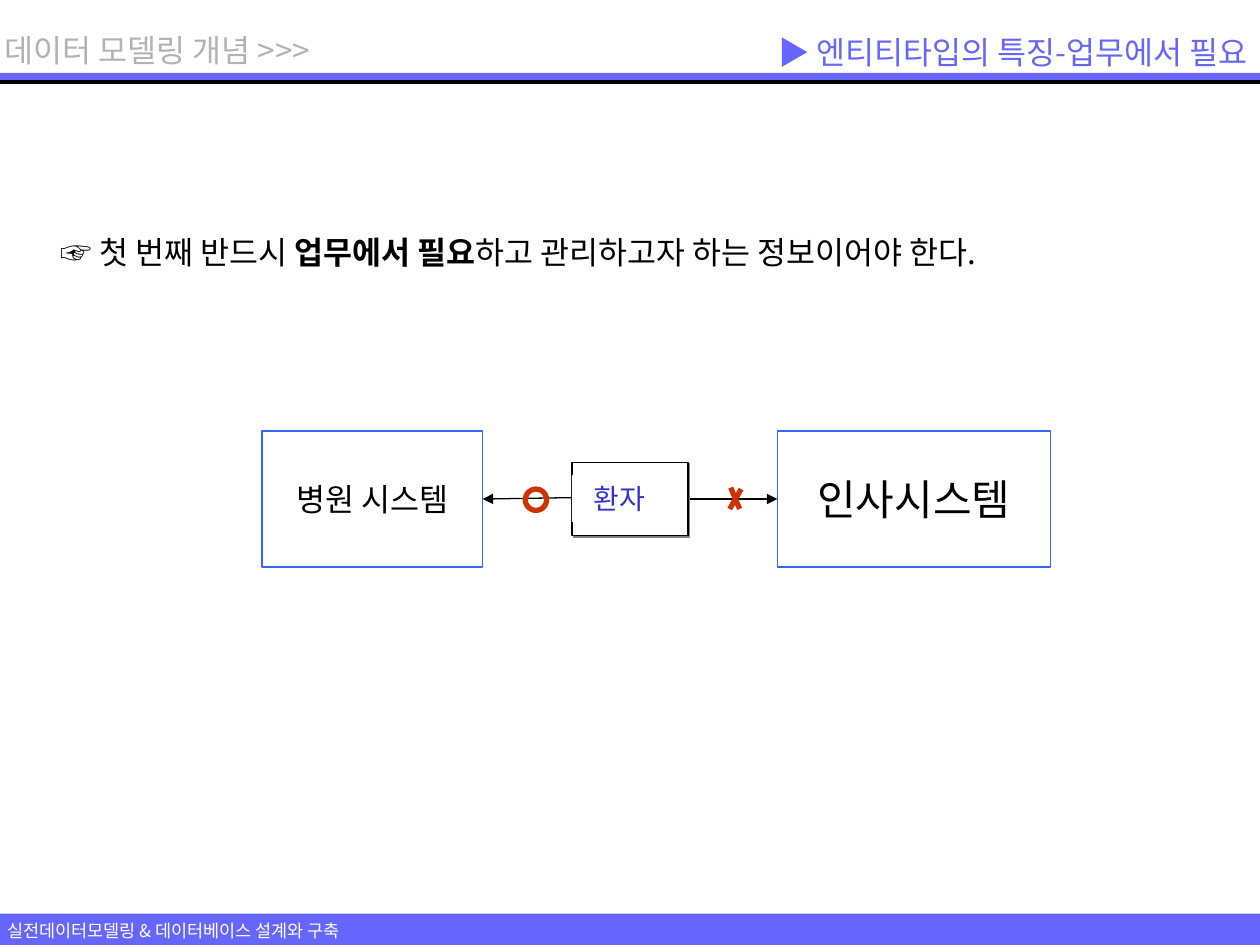
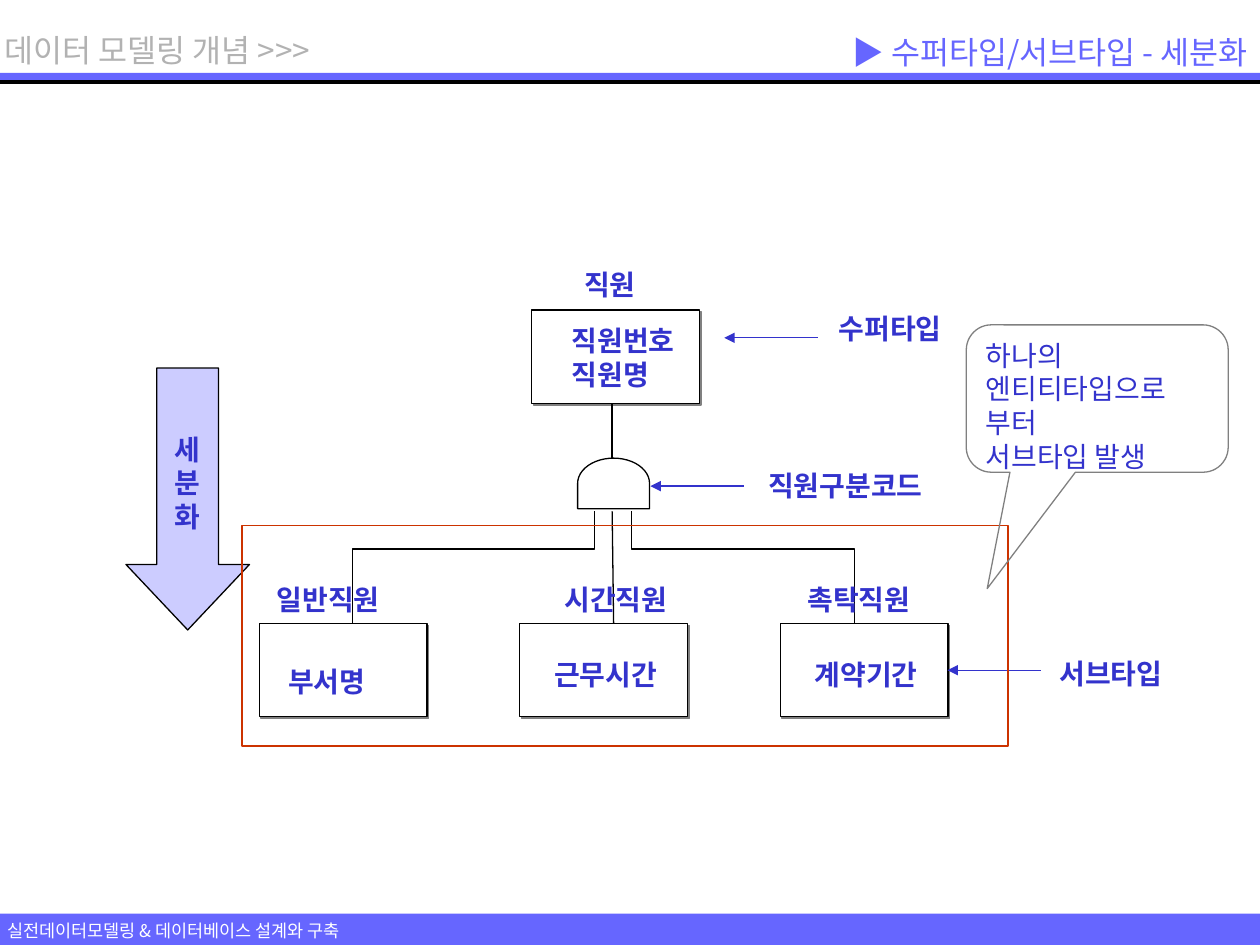
from typing import NamedTuple

from lxml import etree
from pptx import Presentation
from pptx.dml.color import RGBColor
from pptx.enum.shapes import MSO_CONNECTOR, MSO_SHAPE
from pptx.enum.text import MSO_ANCHOR, MSO_AUTO_SIZE, PP_ALIGN
from pptx.oxml.ns import qn
from pptx.util import Cm, Pt

RECT = MSO_SHAPE.RECTANGLE
RING = MSO_SHAPE.OVAL
DOWN = MSO_SHAPE.DOWN_ARROW
DELAY = MSO_SHAPE.FLOWCHART_DELAY
BUBBLE = MSO_SHAPE.ROUNDED_RECTANGULAR_CALLOUT
STRAIGHT = MSO_CONNECTOR.STRAIGHT
LEFT, CENTER, RIGHT = PP_ALIGN.LEFT, PP_ALIGN.CENTER, PP_ALIGN.RIGHT
TOP, MIDDLE = MSO_ANCHOR.TOP, MSO_ANCHOR.MIDDLE
GROW, FIXED = MSO_AUTO_SIZE.SHAPE_TO_FIT_TEXT, MSO_AUTO_SIZE.NONE

BLACK = RGBColor(0x00, 0x00, 0x00)
WHITE = RGBColor(0xFF, 0xFF, 0xFF)
GRAY = RGBColor(0x80, 0x80, 0x80)
SILVER = RGBColor(0xB2, 0xB2, 0xB2)
VIOLET = RGBColor(0x66, 0x66, 0xFF)
LILAC = RGBColor(0xCC, 0xCC, 0xFF)
INDIGO = RGBColor(0x33, 0x33, 0xCC)
BLUE = RGBColor(0x33, 0x66, 0xFF)
RED = RGBColor(0xCC, 0x33, 0x00)

FONT = "Noto Sans CJK KR"
WIDTH, HEIGHT = 25.4, 19.05
THIN, THICK = 0.75, 3
BOX_W, BOX_H = 3.38, 1.88
SUB_X, SUB_Y, SUB_STEP = 5.23, 12.57, 5.25
FORK_Y, BEND_Y = 10.31, 11.07
POINTER = 1.88


class Area(NamedTuple):
    x: float
    y: float
    w: float
    h: float


class System(NamedTuple):
    name: str
    area: Area
    size: int


class Label(NamedTuple):
    text: str
    x: float
    y: float
    w: float = 2.9
    h: float = 0.94


class Line(NamedTuple):
    x1: float
    y1: float
    x2: float
    y2: float


SYSTEMS = [
    System("인사시스템", Area(15.67, 8.69, 5.51, 2.74), 24),
    System("병원 시스템", Area(5.28, 8.69, 4.45, 2.74), 18),
]
FLOWS = [Line(11.61, 10.03, 9.73, 10.06), Line(13.87, 10.06, 15.67, 10.06)]
CROSS = [Line(14.94, 9.86, 14.71, 10.26), Line(14.91, 10.26, 14.73, 9.83)]
STEMS = [Line(12.34, 9.25, 12.34, 8.13), Line(12.34, FORK_Y, 12.37, SUB_Y)]
FORKS = [(11.99, 7.11), (12.73, 17.22)]
POINTS = [(14.99, 9.8), (16.48, 6.81), (20.98, 13.51)]
LABELS = [
    Label("일반직원", 5.33, 11.61),
    Label("시간직원", 11.13, 11.61),
    Label("촉탁직원", 16.03, 11.61),
    Label("직원", 11.53, 5.26, 1.8),
    Label("부서명", 5.56, 13.28, 2.4),
    Label("근무시간", 10.92, 13.13),
    Label("계약기간", 16.18, 13.13),
    Label("직원번호\n직원명", 11.28, 6.4, 2.9, 1.63),
    Label("직원구분코드", 15.24, 9.32, 4),
    Label("수퍼타입", 16.66, 6.15),
    Label("서브타입", 21.11, 13.11),
]


def write(shape, text: str, *, size=16, color=INDIGO, bold=False, strong="",
          align=LEFT, anchor=TOP, wrap=False, fit=FIXED, inset=0.25) -> None:
    frame = shape.text_frame
    frame.word_wrap = wrap
    frame.auto_size = fit
    frame.vertical_anchor = anchor
    frame.margin_left = Cm(inset)
    for i, row in enumerate(text.split("\n")):
        para = frame.add_paragraph() if i else frame.paragraphs[0]
        para.alignment = align
        parts = row.partition(strong) if strong else (row,)
        for part in parts:
            run = para.add_run()
            run.text = part
            font = run.font
            font.size = Pt(size)
            font.bold = bold or part == strong
            font.color.rgb = color
            font.name = FONT
            east = etree.SubElement(font._element, qn("a:ea"))
            east.set("typeface", FONT)


def draw(slide, kind, area: Area, *, fill=None, line=None, width=THIN):
    shape = slide.shapes.add_shape(kind, *map(Cm, area))
    shape.shadow.inherit = False
    paint(shape, fill, line, width)
    return shape


def paint(shape, fill, line, width=THIN) -> None:
    if fill is None:
        shape.fill.background()
    else:
        shape.fill.solid()
        shape.fill.fore_color.rgb = fill
    if line is None:
        shape.line.fill.background()
    else:
        shape.line.color.rgb = line
        shape.line.width = Pt(width)


def link(slide, line: Line, *, color=BLACK, width=THIN, arrow=False) -> None:
    shape = slide.shapes.add_connector(STRAIGHT, *map(Cm, line))
    shape.line.color.rgb = color
    shape.line.width = Pt(width)
    props = shape._element.spPr
    if arrow:
        tail = etree.SubElement(props.find(qn("a:ln")), qn("a:tailEnd"))
        tail.set("type", "triangle")
    etree.SubElement(props, qn("a:effectLst"))


def entity(slide, area: Area) -> None:
    shape = draw(slide, RECT, area, fill=WHITE, line=BLACK)
    effects = shape._element.spPr.find(qn("a:effectLst"))
    shade = etree.SubElement(effects, qn("a:outerShdw"), dist="17960",
                             dir="2700000", algn="ctr", rotWithShape="0")
    etree.SubElement(shade, qn("a:srgbClr"), val=str(GRAY))


def label(slide, area: Area, text: str, **style) -> None:
    write(slide.shapes.add_textbox(*map(Cm, area)), text, **style)


def fork(slide, start: float, end: float) -> None:
    path = slide.shapes.build_freeform(Cm(start), Cm(FORK_Y), scale=1.0)
    bends = [(start, BEND_Y), (end, BEND_Y), (end, SUB_Y)]
    path.add_line_segments([(Cm(x), Cm(y)) for x, y in bends], close=False)
    shape = path.convert_to_shape()
    shape.shadow.inherit = False
    paint(shape, None, BLACK)


def start(deck, title: str):
    slide = deck.slides.add_slide(deck.slide_layouts[6])
    draw(slide, RECT, Area(0, 18.42, WIDTH, 0.63), fill=VIOLET)
    draw(slide, RECT, Area(0, 1.47, WIDTH, 0.15), fill=VIOLET)
    for i in range(3):
        y = 1.63 + 0.03 * i
        link(slide, Line(0, y, WIDTH, y))
    label(slide, Area(-0.1, 18.42, 7.98, 0.69),
          "실전데이터모델링 & 데이터베이스 설계와 구축",
          size=10, color=WHITE, wrap=True)
    label(slide, Area(-0.15, 0.5, 7.21, 1.02), "데이터 모델링 개념 >>>",
          size=18, color=SILVER, wrap=True)
    label(slide, Area(12.7, 0.5, 12.7, 1.09), title,
          size=18, color=VIOLET, align=RIGHT, anchor=MIDDLE)
    return slide


def need(deck) -> None:
    slide = start(deck, "▶ 엔티티타입의 특징-업무에서 필요")
    rule = draw(slide, RECT, Area(0.97, 4.57, 23.5, 1.02), fill=WHITE)
    write(rule, "☞ 첫 번째 반드시 업무에서 필요하고 관리하고자 하는 정보이어야 한다.",
          size=18, color=BLACK, strong=" 업무에서 필요", wrap=True, fit=GROW)
    for system in SYSTEMS:
        box = draw(slide, RECT, system.area, line=BLUE)
        write(box, system.name, size=system.size, color=BLACK,
              align=CENTER, anchor=MIDDLE)
    for flow in FLOWS:
        link(slide, flow, arrow=True)
    entity(slide, Area(11.53, 9.32, 2.34, 1.47))
    name = draw(slide, RECT, Area(11.53, 9.58, 2.06, 0.94), fill=WHITE)
    write(name, "환자", fit=GROW, inset=0.44)
    draw(slide, RING, Area(10.59, 9.86, 0.43, 0.43), line=RED, width=THICK)
    for stroke in CROSS:
        link(slide, stroke, color=RED, width=THICK)


def split(deck) -> None:
    slide = start(deck, "▶ 수퍼타입/서브타입 - 세분화")
    down = draw(slide, DOWN, Area(2.54, 7.42, 2.49, 5.28),
                fill=LILAC, line=BLACK)
    down.adjustments[0], down.adjustments[1] = 0.5, 0.53
    write(down, "세\n분\n화", bold=True, align=CENTER, anchor=MIDDLE)
    for i in range(3):
        entity(slide, Area(SUB_X + SUB_STEP * i, SUB_Y, BOX_W, BOX_H))
    entity(slide, Area(10.72, 6.25, BOX_W, BOX_H))
    gate = draw(slide, DELAY, Area(11.86, 9.02, 1.02, 1.45),
                fill=WHITE, line=BLACK)
    gate.rotation = 270
    for stem in STEMS:
        link(slide, stem)
    for ends in FORKS:
        fork(slide, *ends)
    for text, *area in LABELS:
        label(slide, Area(*area), text, bold=True, wrap=True)
    for x, y in POINTS:
        link(slide, Line(x, y, x - POINTER, y), color=INDIGO, arrow=True)
    draw(slide, RECT, Area(4.88, 10.59, 15.44, 4.45), line=RED)
    note = draw(slide, BUBBLE, Area(19.48, 6.55, 5.28, 2.97), line=GRAY)
    for i, value in enumerate((-0.42, 1.29, 0.17)):
        note.adjustments[i] = value
    write(note, "하나의\n엔티티타입으로\n부터\n서브타입 발생", wrap=True)


def main() -> None:
    deck = Presentation()
    deck.slide_width, deck.slide_height = Cm(WIDTH), Cm(HEIGHT)
    need(deck)
    split(deck)
    deck.save("out.pptx")


if __name__ == "__main__":
    main()
